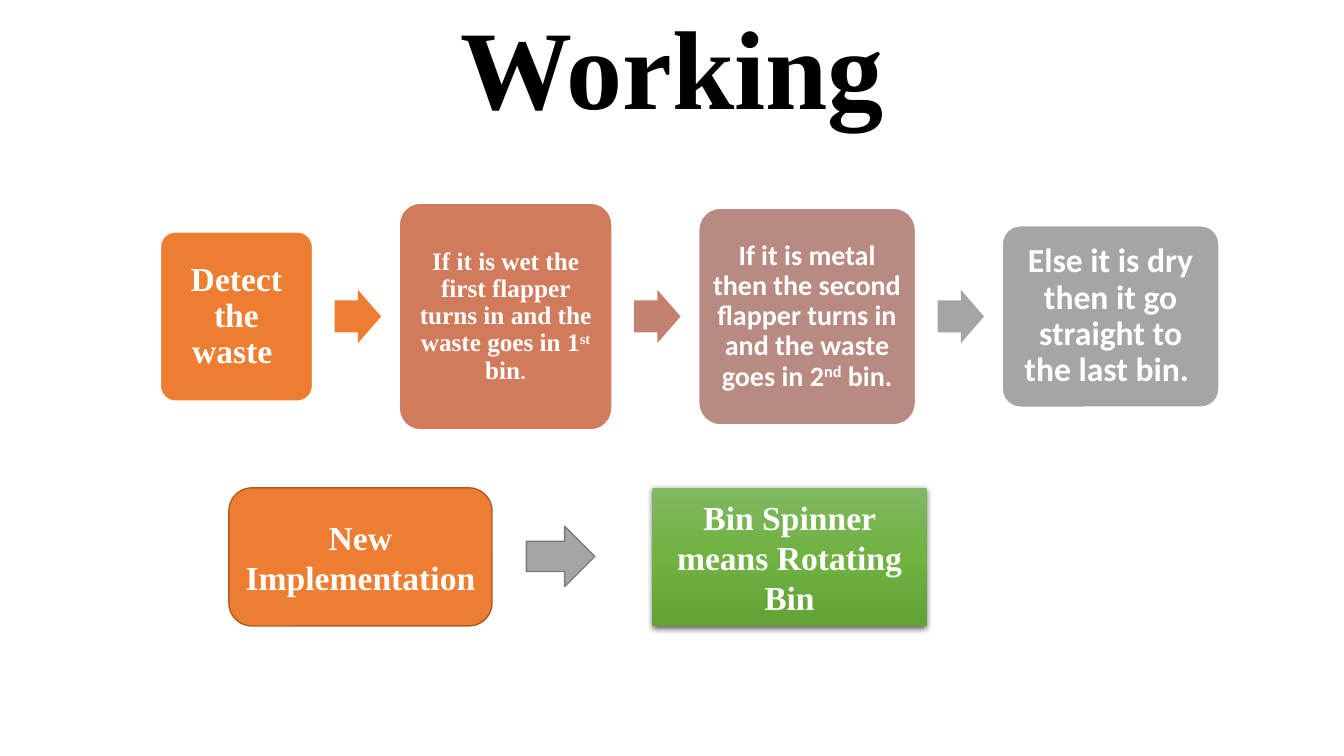
from typing import NamedTuple, Optional

from pptx import Presentation
from pptx.dml.color import RGBColor
from pptx.enum.shapes import MSO_SHAPE as Shape
from pptx.enum.text import MSO_ANCHOR as Anchor, PP_ALIGN as Align
from pptx.oxml import parse_xml
from pptx.oxml.ns import nsdecls, qn
from pptx.util import Inches, Pt

BLACK = RGBColor(0x00, 0x00, 0x00)
WHITE = RGBColor(0xFF, 0xFF, 0xFF)
ORANGE = RGBColor(0xED, 0x7D, 0x31)
DARK_ORANGE = RGBColor(0xAF, 0x5C, 0x24)
TERRACOTTA = RGBColor(0xD1, 0x7B, 0x5C)
CLAY = RGBColor(0xC4, 0x81, 0x70)
ROSE = RGBColor(0xB9, 0x8A, 0x82)
GREY = RGBColor(0xA5, 0xA5, 0xA5)
DARK_GREY = RGBColor(0x7A, 0x7A, 0x7A)
GREEN_STOPS = (
    (0, RGBColor(0x81, 0xB8, 0x61)),
    (50, RGBColor(0x6F, 0xB2, 0x42)),
    (100, RGBColor(0x62, 0xA3, 0x36)),
)
SERIF, SANS = "Times New Roman", "Calibri"

FLOW_LEFT, FLOW_MIDDLE = 1.59, 3.14
ARROW_WIDTH, ARROW_HEIGHT = 0.46, 0.53
GAP_BEFORE_ARROW, GAP_AFTER_ARROW = 0.22, 0.18
LOWER_TOP, LOWER_HEIGHT = 4.84, 1.37


class Span(NamedTuple):
    text: str
    raised: bool = False
    font: Optional[str] = None
    size: Optional[float] = None


class Step(NamedTuple):
    spans: tuple[Span, ...]
    width: float
    height: float
    fill: RGBColor
    font: str
    size: float
    inset: float
    arrow: Optional[RGBColor] = None


STEPS = (
    Step((Span("Detect the waste "),), 1.51, 1.68, ORANGE, SERIF, 24, 0.1, ORANGE),
    Step(
        (
            Span("If it is wet the first flapper turns in and the waste goes in 1"),
            Span("st", raised=True),
            Span(" bin"),
            Span(".", font=SANS, size=16),
        ),
        2.11, 2.25, TERRACOTTA, SERIF, 18, 0.07, CLAY,
    ),
    Step(
        (
            Span("If it is metal then the second flapper turns in and the waste goes in 2"),
            Span("nd", raised=True),
            Span(" bin."),
        ),
        2.15, 2.15, ROSE, SANS, 20, 0.08, GREY,
    ),
    Step(
        (Span("Else it is dry then it go straight to the last bin. "),),
        2.15, 1.8, GREY, SANS, 24, 0.1,
    ),
)


def write_text(box, *spans: Span, font: str = SERIF, size: float = 24,
               color: RGBColor = WHITE, spacing: float = 1.0,
               inset: Optional[float] = None) -> None:
    """Fill a shape with one bold, centred paragraph."""
    frame = box.text_frame
    frame.word_wrap = True
    frame.vertical_anchor = Anchor.MIDDLE
    if inset is not None:
        frame.margin_left = frame.margin_right = Inches(inset)
        frame.margin_top = frame.margin_bottom = Inches(inset)
    para = frame.paragraphs[0]
    para.alignment = Align.CENTER
    para.line_spacing = spacing
    for span in spans:
        run = para.add_run()
        run.text = span.text
        run.font.name = span.font or font
        run.font.size = Pt(span.size or size)
        run.font.bold = True
        run.font.color.rgb = color
        if span.raised:
            run.font._element.set("baseline", "30000")


def add_block(page, kind: Shape, left: float, top: float, width: float, height: float,
              fill: Optional[RGBColor] = None, line: Optional[RGBColor] = None,
              adjustments: tuple[float, ...] = ()):
    block = page.shapes.add_shape(
        kind, Inches(left), Inches(top), Inches(width), Inches(height))
    block.shadow.inherit = False
    for index, value in enumerate(adjustments):
        block.adjustments[index] = value
    if fill is not None:
        block.fill.solid()
        block.fill.fore_color.rgb = fill
    if line is None:
        block.line.fill.background()
    else:
        block.line.color.rgb = line
        block.line.width = Pt(1)
    return block


def add_gradient_and_shadow(block) -> None:
    block.fill.gradient()
    block.fill.gradient_angle = 270
    properties = block._element.spPr
    stops = properties.find(".//" + qn("a:gsLst"))
    for stop in list(stops):
        stops.remove(stop)
    for percent, color in GREEN_STOPS:
        stops.append(parse_xml(
            f'<a:gs {nsdecls("a")} pos="{percent * 1000}"><a:srgbClr val="{color}"/></a:gs>'))
    properties.find(qn("a:effectLst")).append(parse_xml(
        f'<a:outerShdw {nsdecls("a")} blurRad="{Pt(4.5)}" dist="{Pt(1.5)}" dir="5400000" '
        'algn="ctr" rotWithShape="0"><a:srgbClr val="000000"><a:alpha val="63000"/>'
        '</a:srgbClr></a:outerShdw>'))


def add_flow(page) -> None:
    """Lay the steps out from left to right around one middle line."""
    left = FLOW_LEFT
    for step in STEPS:
        box = add_block(page, Shape.ROUNDED_RECTANGLE, left, FLOW_MIDDLE - step.height / 2,
                        step.width, step.height, step.fill, WHITE, (0.1,))
        write_text(box, *step.spans, font=step.font, size=step.size,
                   spacing=0.9, inset=step.inset)
        left += step.width + GAP_BEFORE_ARROW
        if step.arrow is not None:
            add_block(page, Shape.RIGHT_ARROW, left, FLOW_MIDDLE - ARROW_HEIGHT / 2,
                      ARROW_WIDTH, ARROW_HEIGHT, step.arrow, adjustments=(0.6, 0.5))
            left += ARROW_WIDTH + GAP_AFTER_ARROW


def main() -> None:
    deck = Presentation()
    deck.slide_width, deck.slide_height = Inches(13.33), Inches(7.5)
    page = deck.slides.add_slide(deck.slide_layouts[6])

    title = page.shapes.add_textbox(Inches(0.92), Inches(0), Inches(11.5), Inches(1.45))
    write_text(title, Span("Working"), size=80, color=BLACK, spacing=0.9)

    add_flow(page)

    implementation = add_block(page, Shape.ROUNDED_RECTANGLE, 2.27, LOWER_TOP, 2.61,
                               LOWER_HEIGHT, ORANGE, DARK_ORANGE)
    write_text(implementation, Span("New Implementation"))
    add_block(page, Shape.RIGHT_ARROW, 5.22, 5.22, 0.68, 0.6, GREY, DARK_GREY)
    spinner = add_block(page, Shape.RECTANGLE, 6.47, LOWER_TOP, 2.72, LOWER_HEIGHT)
    add_gradient_and_shadow(spinner)
    write_text(spinner, Span("Bin Spinner means Rotating Bin"))

    deck.save("out.pptx")


if __name__ == "__main__":
    main()
